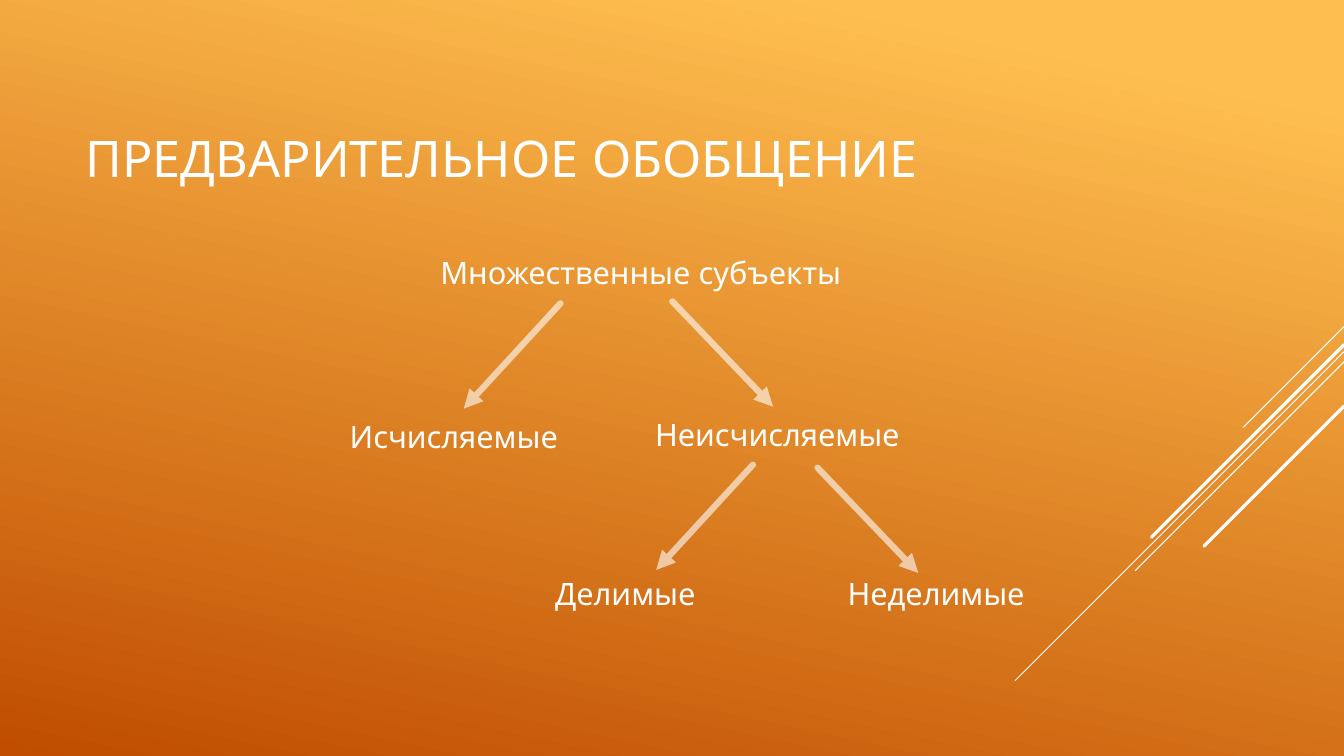
import pptx
import pptx.util
import pptx.dml.color
import pptx.enum.shapes
import pptx.enum.text
import pptx.oxml
import pptx.oxml.ns
import lxml.etree

WHITE = pptx.dml.color.RGBColor(0xFF, 0xFF, 0xFF)
AMBER = pptx.dml.color.RGBColor(0xFF, 0xBF, 0x50)
RUST = pptx.dml.color.RGBColor(0xC0, 0x4D, 0x00)
FONT = "Quicksand"
CELL = pptx.util.Inches(0.1)
COLS, ROWS = 133.33, 75


def add_line(x1, y1, x2, y2, width):
    ends = [round(v * CELL) for v in (x1, y1, x2, y2)]
    line = s.shapes.add_connector(pptx.enum.shapes.MSO_CONNECTOR.STRAIGHT, *ends)
    line.line.color.rgb = WHITE
    line.line.width = pptx.util.Pt(width)
    lxml.etree.SubElement(line._element.spPr, pptx.oxml.ns.qn("a:effectLst"))
    ln = line.line._get_or_add_ln()
    ln.set("cap", "rnd")
    return ln


def add_text(sp, left, top, width, height, text, size):
    sp.left, sp.top = round(left * CELL), round(top * CELL)
    sp.width, sp.height = round(width * CELL), round(height * CELL)
    tf = sp.text_frame
    tf.word_wrap = True
    p = tf.paragraphs[0]
    p.alignment = pptx.enum.text.PP_ALIGN.LEFT
    r = p.add_run()
    r.text = text
    r.font.name = FONT
    r.font.size = pptx.util.Pt(size)
    r.font.color.rgb = WHITE
    return tf


prs = pptx.Presentation()
prs.slide_width = round(COLS * CELL)
prs.slide_height = ROWS * CELL
s = prs.slides.add_slide(prs.slide_layouts[5])

fill = s.background.fill
fill.gradient()
fill.gradient_angle = 360 - 102
for stop, color, position in zip(fill.gradient_stops, (AMBER, RUST), (0.1, 1)):
    stop.color.rgb = color
    stop.position = position

for top, run, width in (
    (32.4, 10, 0.75),
    (34.9, 32.6, 0.75),
    (35.9, 20.7, 0.75),
    (34.2, 19.1, 2.25),
    (40.3, 13.9, 2.25),
):
    add_line(COLS, top, COLS - run, top + run, width)

tf = add_text(s.shapes.title, 7.5, 7.4, 93.3, 16.5, "ПРЕДВАРИТЕЛЬНОЕ ОБОБЩЕНИЕ", 36)
tf.vertical_anchor = pptx.enum.text.MSO_ANCHOR.MIDDLE
tf.auto_size = pptx.enum.text.MSO_AUTO_SIZE.NONE

for text, left, top, width in (
    ("Множественные субъекты", 42.7, 24.7, 57.3),
    ("Исчисляемые", 33.7, 40.9, 27.1),
    ("Неисчисляемые", 64, 40.8, 27.1),
    ("Делимые", 54.1, 56.5, 25.6),
    ("Неделимые", 83.1, 56.5, 25.6),
):
    sp = s.shapes.add_textbox(0, 0, CELL, CELL)
    tf = add_text(sp, left, top, width, 4.7, text, 22)
    tf.auto_size = pptx.enum.text.MSO_AUTO_SIZE.SHAPE_TO_FIT_TEXT

for x, y, run in (
    (55.6, 30.1, -9.6),
    (66.7, 29.9, 10),
    (74.7, 46.1, -9.6),
    (81.1, 46.4, 10),
):
    ln = add_line(x, y, x + run, y + 10.45, 4.5)
    color = ln.find(".//" + pptx.oxml.ns.qn("a:srgbClr"))
    lxml.etree.SubElement(color, pptx.oxml.ns.qn("a:alpha"), val="60000")
    lxml.etree.SubElement(ln, pptx.oxml.ns.qn("a:tailEnd"), type="triangle")

prs.save("out.pptx")
